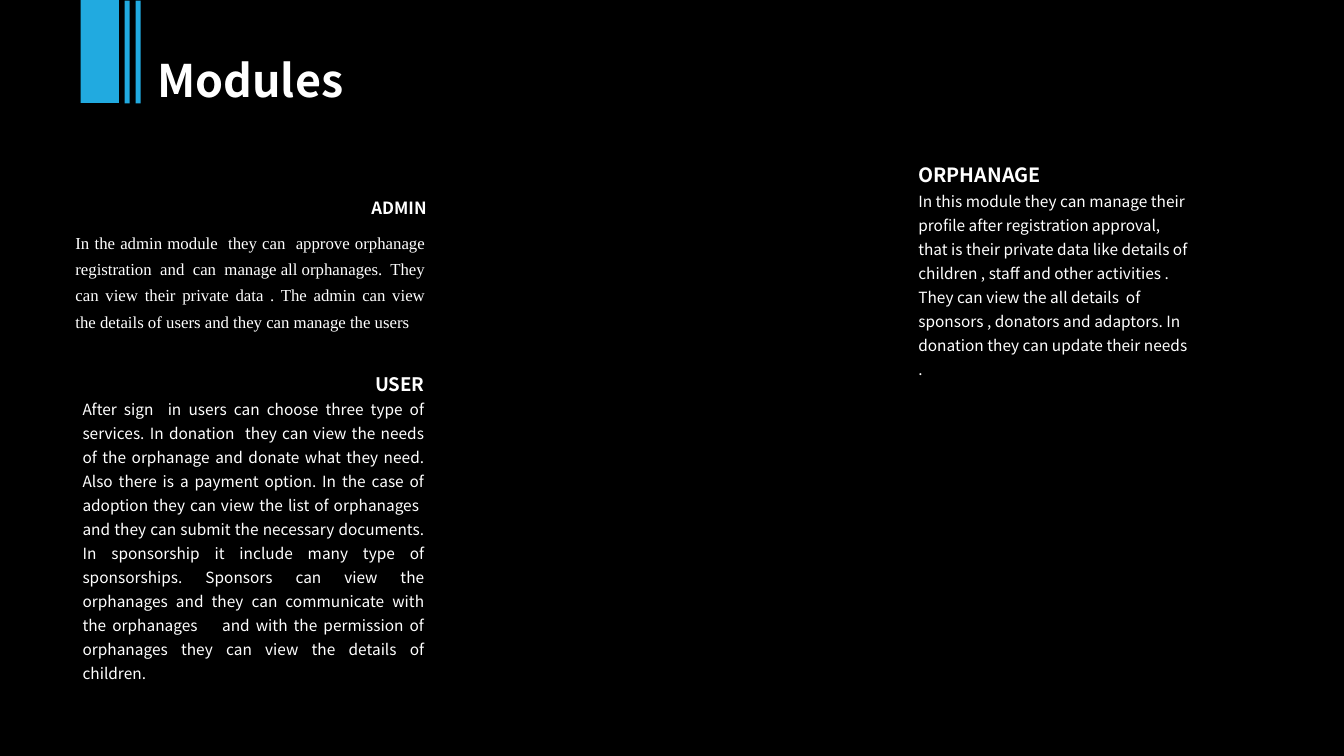
"""Build the Modules slide describing the admin, user and orphanage roles."""
from pptx import Presentation
from pptx.dml.color import RGBColor
from pptx.enum.shapes import MSO_SHAPE
from pptx.enum.text import MSO_ANCHOR, MSO_AUTO_SIZE, PP_ALIGN
from pptx.util import Inches, Pt

COLORS = {"background": "000000", "text": "FFFFFF", "accent": "21AAE0"}
SANS = "Noto Sans CJK SC"
SERIF = "Times New Roman"

ADMIN_TEXT = (
    "In the admin module  they can  approve orphanage registration  and  can  "
    "manage all orphanages.  They can view their private data . The admin can "
    "view the details of users and they can manage the users"
)
USER_TEXT = (
    "After sign  in users can choose three type of services. In donation  they "
    "can view the needs of the orphanage and donate what they need. Also there "
    "is a payment option. In the case of adoption they can view the list of "
    "orphanages  and they can submit the necessary documents. In sponsorship it "
    "include many type of sponsorships. Sponsors can view the orphanages and "
    "they can communicate with the orphanages    and with the permission of "
    "orphanages they can view the details of children."
)
ORPHANAGE_TEXT = (
    "In this module they can manage their profile after registration approval, "
    "that is their private data like details of children , staff and other "
    "activities .  They can view the all details  of  sponsors , donators and "
    "adaptors. In donation they can update their needs ."
)


def write_paragraph(para, text, size, font, bold, align, spacing):
    para.alignment = align
    para.line_spacing = spacing
    para.space_before = Pt(0)
    span = para.add_run()
    span.text = text
    span.font.size = Pt(size)
    span.font.name = font
    span.font.bold = bold
    span.font.color.rgb = RGBColor.from_string(COLORS["text"])


deck = Presentation()
deck.slide_width = Inches(13.33)
deck.slide_height = Inches(7.5)
page = deck.slides.add_slide(deck.slide_layouts[5])
page.background.fill.solid()
page.background.fill.fore_color.rgb = RGBColor.from_string(COLORS["background"])

title = page.shapes.title
title.left, title.top = Inches(1.56), Inches(0.42)
title.width, title.height = Inches(11.15), Inches(0.59)
frame = title.text_frame
frame.margin_left = frame.margin_top = frame.margin_right = frame.margin_bottom = 0
frame.vertical_anchor = MSO_ANCHOR.TOP
frame.auto_size = MSO_AUTO_SIZE.SHAPE_TO_FIT_TEXT
write_paragraph(frame.paragraphs[0], "Modules", 32, SANS, True, PP_ALIGN.LEFT, 1.2)

modules = [
    ((1.4, 1.85, 2.93, 0.34), [("ADMIN", 12, SANS, True, PP_ALIGN.RIGHT)]),
    ((0.65, 2.2, 3.67, 1.41), [(ADMIN_TEXT, 12, SERIF, False, PP_ALIGN.JUSTIFY)]),
    ((0.72, 3.58, 3.59, 3.28), [
        ("USER", 13.3, SANS, True, PP_ALIGN.RIGHT),
        (USER_TEXT, 11, SANS, False, PP_ALIGN.JUSTIFY),
    ]),
    ((9.01, 1.5, 2.9, 2.64), [
        ("ORPHANAGE", 14, SANS, True, PP_ALIGN.LEFT),
        (ORPHANAGE_TEXT, 11, SANS, False, PP_ALIGN.LEFT),
    ]),
]
for place, paragraphs in modules:
    box = page.shapes.add_textbox(*map(Inches, place))
    frame = box.text_frame
    frame.word_wrap = True
    frame.auto_size = MSO_AUTO_SIZE.SHAPE_TO_FIT_TEXT
    for index, content in enumerate(paragraphs):
        para = frame.add_paragraph() if index else frame.paragraphs[0]
        write_paragraph(para, *content, 1.3)

for left, top, thickness in [(0.48, 0.32, 0.38), (0.75, 0.49, 0.05), (0.86, 0.49, 0.05)]:
    bar = page.shapes.add_shape(
        MSO_SHAPE.RECTANGLE, Inches(left), Inches(top), Inches(1.02), Inches(thickness)
    )
    bar.rotation = 90
    bar.shadow.inherit = False
    bar.fill.solid()
    bar.fill.fore_color.rgb = RGBColor.from_string(COLORS["accent"])
    bar.line.fill.background()

deck.save("out.pptx")
